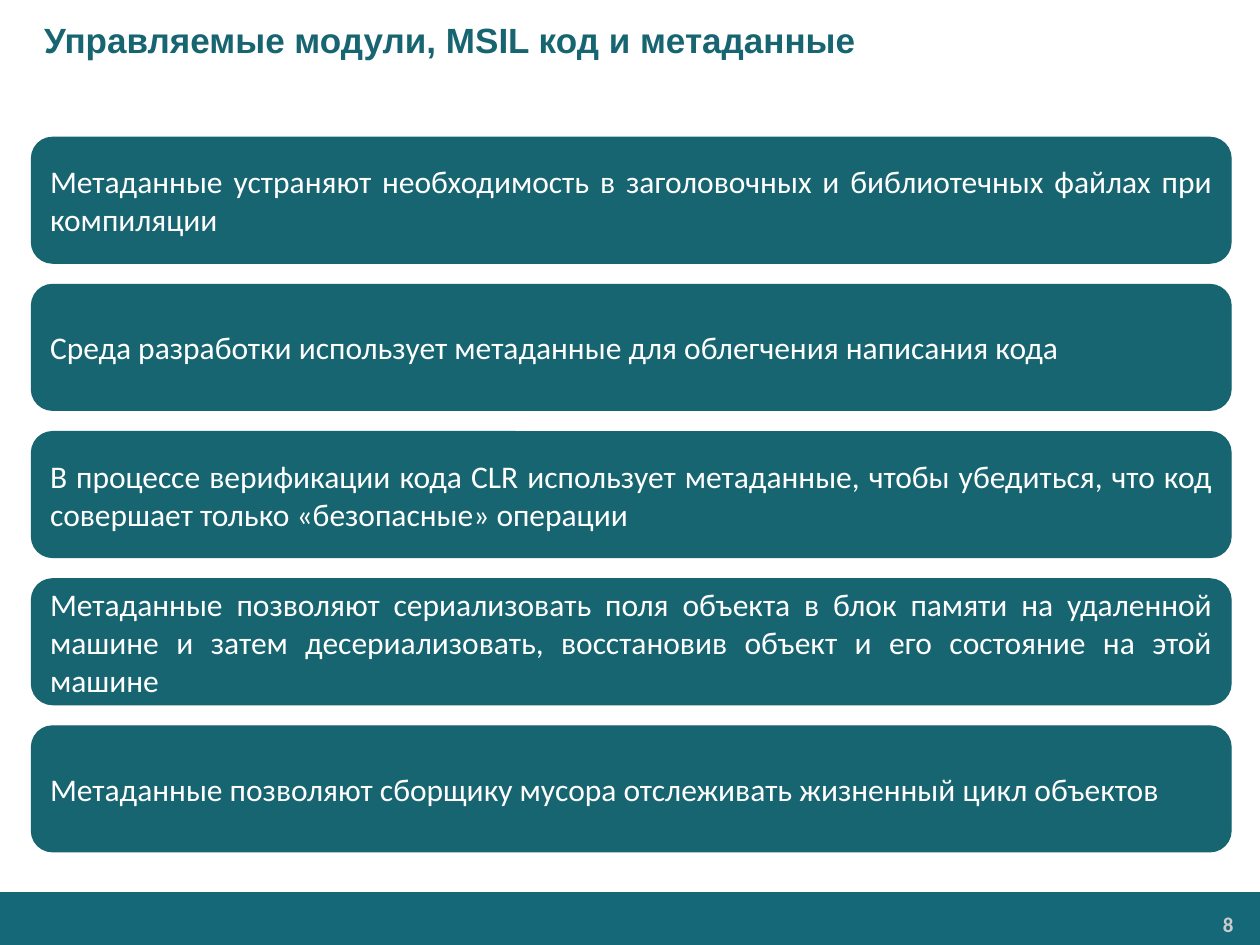
from pptx import Presentation
from pptx.dml.color import RGBColor
from pptx.enum import shapes, text
from pptx.util import Inches, Pt

COLORS = {"teal": "176571", "footer": "146878", "white": "FFFFFF", "number": "CCCCCC"}
STATEMENTS = [
    "Метаданные устраняют необходимость в заголовочных и библиотечных файлах при компиляции",
    "Среда разработки использует метаданные для облегчения написания кода",
    "В процессе верификации кода CLR использует метаданные, чтобы убедиться, "
    "что код совершает только «безопасные» операции",
    "Метаданные позволяют сериализовать поля объекта в блок памяти на удаленной машине "
    "и затем десериализовать, восстановив объект и его состояние на этой машине",
    "Метаданные позволяют сборщику мусора отслеживать жизненный цикл объектов",
]


def color(name):
    """Return the palette colour with this name."""
    return RGBColor.from_string(COLORS[name])


def write(frame, wording, size, font_name, ink, align, bold=False):
    """Fill a text frame with one formatted, vertically centred paragraph."""
    frame.text = wording
    frame.word_wrap = True
    frame.vertical_anchor = text.MSO_ANCHOR.MIDDLE
    paragraph = frame.paragraphs[0]
    paragraph.alignment = align
    font = paragraph.runs[0].font
    font.size, font.name, font.bold = Pt(size), font_name, bold
    font.color.rgb = color(ink)


def add_panel(slide, kind, fill, left, top, width, height):
    """Add a flat filled shape without an outline."""
    panel = slide.shapes.add_shape(
        kind, Inches(left), Inches(top), Inches(width), Inches(height))
    panel.shadow.inherit = False
    panel.fill.solid()
    panel.fill.fore_color.rgb = color(fill)
    panel.line.fill.background()
    return panel


def add_footer(slide, left, top, width, height):
    """Place the footer band and the slide number at its right end."""
    add_panel(slide, shapes.MSO_SHAPE.RECTANGLE, "footer", left, top, width, height)
    number = slide.shapes.add_textbox(
        Inches(left + width - 1.77), Inches(top + 0.11), Inches(1.63), Inches(0.28))
    frame = number.text_frame
    frame.margin_left = frame.margin_right = Inches(0.07)
    frame.margin_top = frame.margin_bottom = Inches(0.04)
    write(frame, "8", 12, "Calibri", "number", text.PP_ALIGN.RIGHT, bold=True)


def add_title(slide, left, top, width, height):
    """Place the indented slide title."""
    title = slide.shapes.add_textbox(
        Inches(left), Inches(top), Inches(width), Inches(height))
    title.text_frame.margin_left = Inches(0.35)
    write(title.text_frame, "Управляемые модули, MSIL код и метаданные",
          20, "Arial", "teal", text.PP_ALIGN.LEFT, bold=True)


def add_statements(slide, left, top, width, height, gap=0.17):
    """Stack the statements as equal rounded cards."""
    count = len(STATEMENTS)
    card_height = (height - gap * (count - 1)) / count
    for row, statement in enumerate(STATEMENTS):
        card = add_panel(slide, shapes.MSO_SHAPE.ROUNDED_RECTANGLE, "teal",
                         left, top + row * (card_height + gap), width, card_height)
        card.line.color.rgb = color("teal")
        card.line.width = Pt(0.75)
        write(card.text_frame, statement, 18, "Calibri", "white", text.PP_ALIGN.JUSTIFY)


def main():
    """Build the slide and save it."""
    deck = Presentation()
    deck.slide_width, deck.slide_height = Inches(10), Inches(7.5)
    slide = deck.slides.add_slide(deck.slide_layouts[6])
    add_footer(slide, 0, 7.08, 10, 0.42)
    add_title(slide, 0, 0, 10, 0.63)
    add_statements(slide, 0.25, 1.09, 9.52, 5.67)
    deck.save("out.pptx")


if __name__ == "__main__":
    main()
